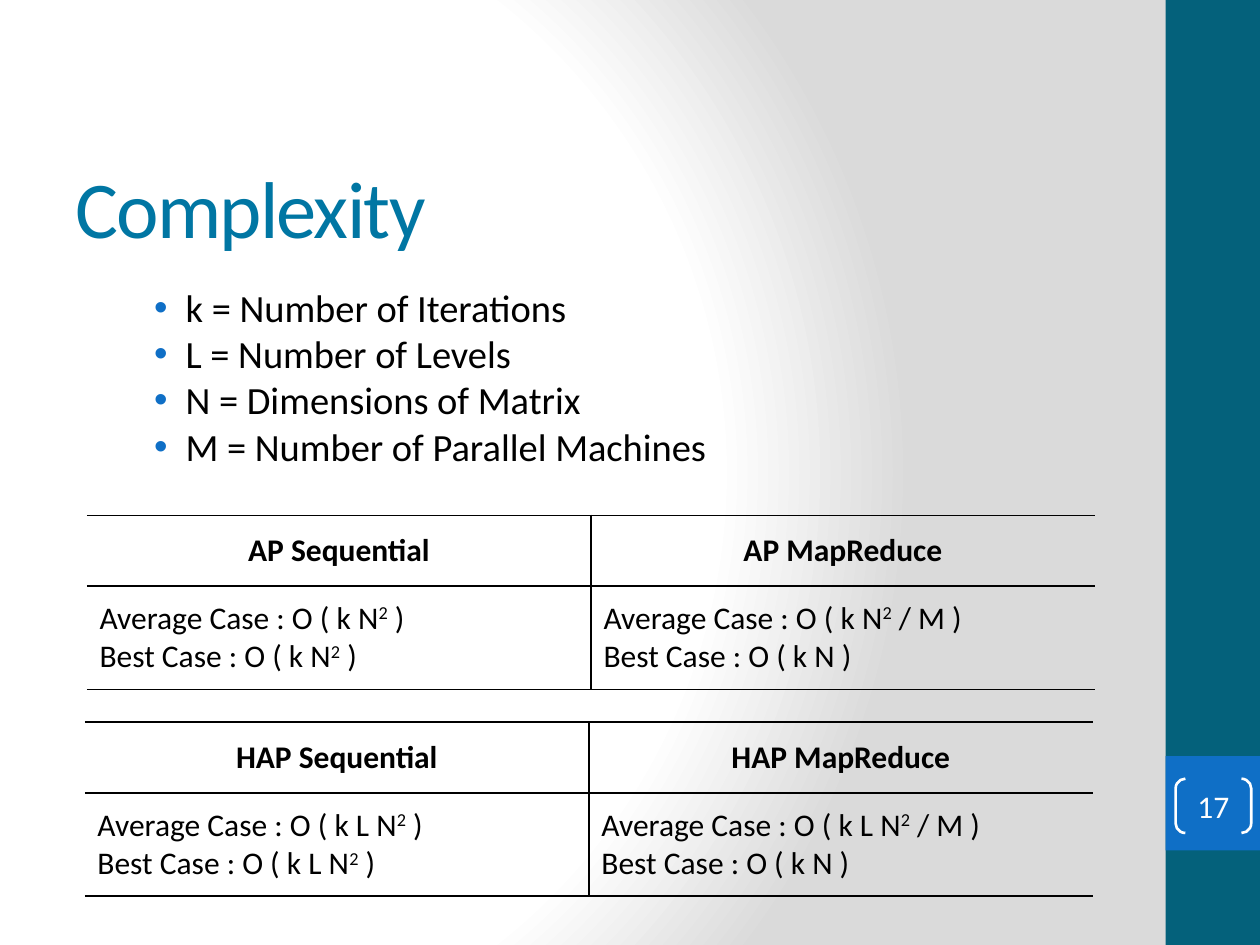
from dataclasses import dataclass
from pptx import Presentation
from pptx.dml.color import RGBColor as RGB
from pptx.enum.shapes import MSO_SHAPE as Kind
from pptx.enum.text import MSO_ANCHOR as Anchor, PP_ALIGN as Align
from pptx.oxml import parse_xml
from pptx.util import Pt

NS = 'xmlns:a="http://schemas.openxmlformats.org/drawingml/2006/main"'


@dataclass(frozen=True)
class Theme:
    font: str = "Calibri"
    black: str = "000000"
    white: str = "FFFFFF"
    gray: str = "DADADA"
    teal: str = "04617B"
    blue: str = "0F6FC6"
    title: str = "0076A3"
    big: float = 46
    mid: float = 22
    small: float = 18


@dataclass(frozen=True)
class Box:
    x: float
    y: float
    w: float
    h: float

    def rect(self) -> tuple:
        return Pt(self.x), Pt(self.y), Pt(self.w), Pt(self.h)


@dataclass(frozen=True)
class Grid:
    box: Box
    heads: tuple
    cases: tuple  # one tuple of lines per column


T = Theme()
ROWS = (40.5, 59)
BULLETS = (
    "k = Number of Iterations",
    "L = Number of Levels",
    "N = Dimensions of Matrix",
    "M = Number of Parallel Machines",
)


def cost_grid(x: float, y: float, name: str, term: str) -> Grid:
    """Table of running times; ² marks a raised 2."""
    return Grid(
        Box(x, y, 576, sum(ROWS)),
        (f"{name} Sequential", f"{name} MapReduce"),
        (
            (f"Average Case : O ( {term}² )", f"Best Case : O ( {term}² )"),
            (f"Average Case : O ( {term}² / M )", "Best Case : O ( k N )"),
        ),
    )


GRIDS = (
    cost_grid(49.7, 294.5, "AP", "k N"),
    cost_grid(48.5, 412.6, "HAP", "k L N"),
)


def add_run(para, text: str, size: float, color: str, bold: bool = False):
    run = para.add_run()
    run.text = text
    font = run.font
    font.name, font.size, font.bold = T.font, Pt(size), bold
    font.color.rgb = RGB.from_string(color)
    return run


def add_math(para, text: str, bold: bool) -> None:
    for i, part in enumerate(text.split("²")):
        if i:
            power = add_run(para, "2", T.small, T.black, bold)
            power._r.get_or_add_rPr().set("baseline", "30000")
        add_run(para, part, T.small, T.black, bold)


def add_paras(frame, count: int) -> list:
    return [frame.paragraphs[0]] + [frame.add_paragraph() for _ in range(count - 1)]


def add_shape(slide, kind, box: Box, fill: str = "", line: str = ""):
    shape = slide.shapes.add_shape(kind, *box.rect())
    shape.shadow.inherit = False
    if fill:
        shape.fill.solid()
        shape.fill.fore_color.rgb = RGB.from_string(fill)
    else:
        shape.fill.background()
    if line:
        shape.line.color.rgb = RGB.from_string(line)
        shape.line.width = Pt(1.5)
    else:
        shape.line.fill.background()
    return shape


def add_text(slide, box: Box):
    frame = slide.shapes.add_textbox(*box.rect()).text_frame
    frame.word_wrap = True
    return frame


def set_edges(cell, shown: str) -> None:
    props = cell._tc.get_or_add_tcPr()
    for side in "LRTB":
        ink = (f'<a:solidFill><a:srgbClr val="{T.black}"/></a:solidFill>'
               if side in shown else "<a:noFill/>")
        props.append(parse_xml(f'<a:ln{side} {NS} w="{Pt(1)}">{ink}</a:ln{side}>'))
    cell.fill.background()


def add_grid(slide, grid: Grid) -> None:
    table = slide.shapes.add_table(2, 2, *grid.box.rect()).table
    table.first_row = table.horz_banding = False
    for row, high in zip(table.rows, ROWS):
        row.height = Pt(high)
    for c in range(2):
        table.columns[c].width = Pt(grid.box.w / 2)
        for r, lines in enumerate(((grid.heads[c],), grid.cases[c])):
            cell = table.cell(r, c)
            cell.vertical_anchor = Anchor.MIDDLE
            set_edges(cell, "TB" + "RL"[c])
            for para, line in zip(add_paras(cell.text_frame, len(lines)), lines):
                para.alignment = Align.LEFT if r else Align.CENTER
                add_math(para, line, bold=r == 0)


def set_back(slide) -> None:
    fill = slide.background.fill
    fill.gradient()
    old = slide._element.xpath("./p:cSld/p:bg/p:bgPr/a:gradFill")[0]
    stops = "".join(
        f'<a:gs pos="{pos * 1000}"><a:srgbClr val="{color}"/></a:gs>'
        for pos, color in ((0, T.white), (75, T.white), (100, T.gray))
    )
    new = parse_xml(
        f'<a:gradFill {NS} rotWithShape="1"><a:gsLst>{stops}</a:gsLst>'
        '<a:path path="circle"><a:fillToRect l="20000" t="50000" r="100000" '
        'b="50000"/></a:path></a:gradFill>'
    )
    old.getparent().replace(old, new)


def add_bullets(slide) -> None:
    frame = add_text(slide, Box(72, 158.4, 590, 309))
    for para, text in zip(add_paras(frame, len(BULLETS)), BULLETS):
        props = para._p.get_or_add_pPr()
        props.set("marL", str(Pt(27)))
        props.set("indent", str(Pt(-18)))
        for tag in (f'<a:buClr {NS}><a:srgbClr val="{T.blue}"/></a:buClr>',
                    f'<a:buFont {NS} typeface="Arial"/>',
                    f'<a:buChar {NS} char="•"/>'):
            props.append(parse_xml(tag))
        para.line_spacing = Pt(26.5)
        add_run(para, text, T.mid, T.black)


def add_page(slide, text: str) -> None:
    mark = add_shape(slide, Kind.DOUBLE_BRACKET, Box(671.8, 445, 43.2, 31), line=T.white)
    mark.adjustments[0] = 0.18
    frame = mark.text_frame
    frame.margin_left = frame.margin_right = frame.margin_top = frame.margin_bottom = 0
    frame.vertical_anchor = Anchor.MIDDLE
    para = frame.paragraphs[0]
    para.alignment = Align.CENTER
    add_run(para, text, T.small, T.white)


def add_title(slide, text: str) -> None:
    frame = add_text(slide, Box(36, 84.2, 648, 67.7))
    frame.vertical_anchor = Anchor.MIDDLE
    run = add_run(frame.paragraphs[0], text, T.big, T.title)
    run._r.get_or_add_rPr().set("spc", "-100")


def main() -> None:
    deck = Presentation()
    deck.slide_width, deck.slide_height = Pt(720), Pt(540)
    slide = deck.slides.add_slide(deck.slide_layouts[6])
    # Background and side band
    set_back(slide)
    add_shape(slide, Kind.RECTANGLE, Box(666, 0, 54, 540), T.teal)
    add_shape(slide, Kind.RECTANGLE, Box(666, 432, 54, 54), T.blue)
    # Text, page number and tables
    add_bullets(slide)
    add_page(slide, "17")
    for grid in GRIDS:
        add_grid(slide, grid)
    add_title(slide, "Complexity")
    deck.save("out.pptx")


if __name__ == "__main__":
    main()
